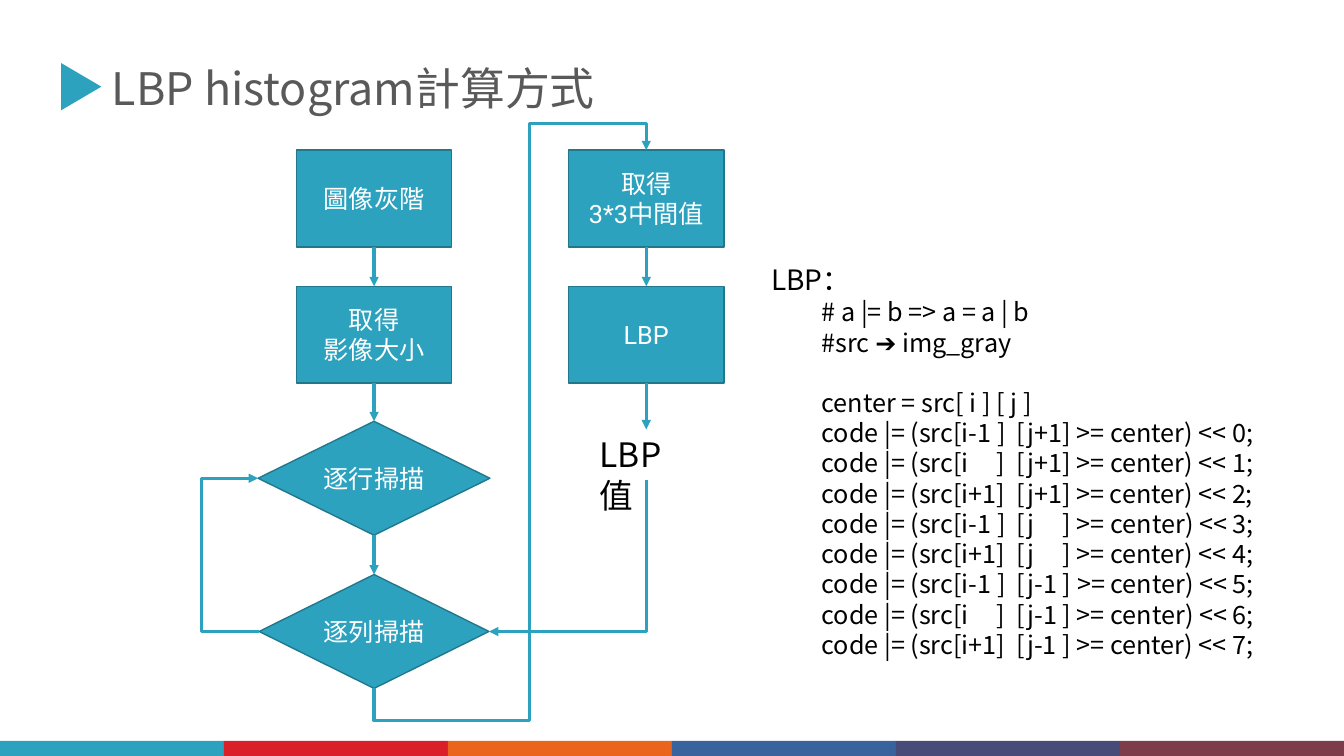
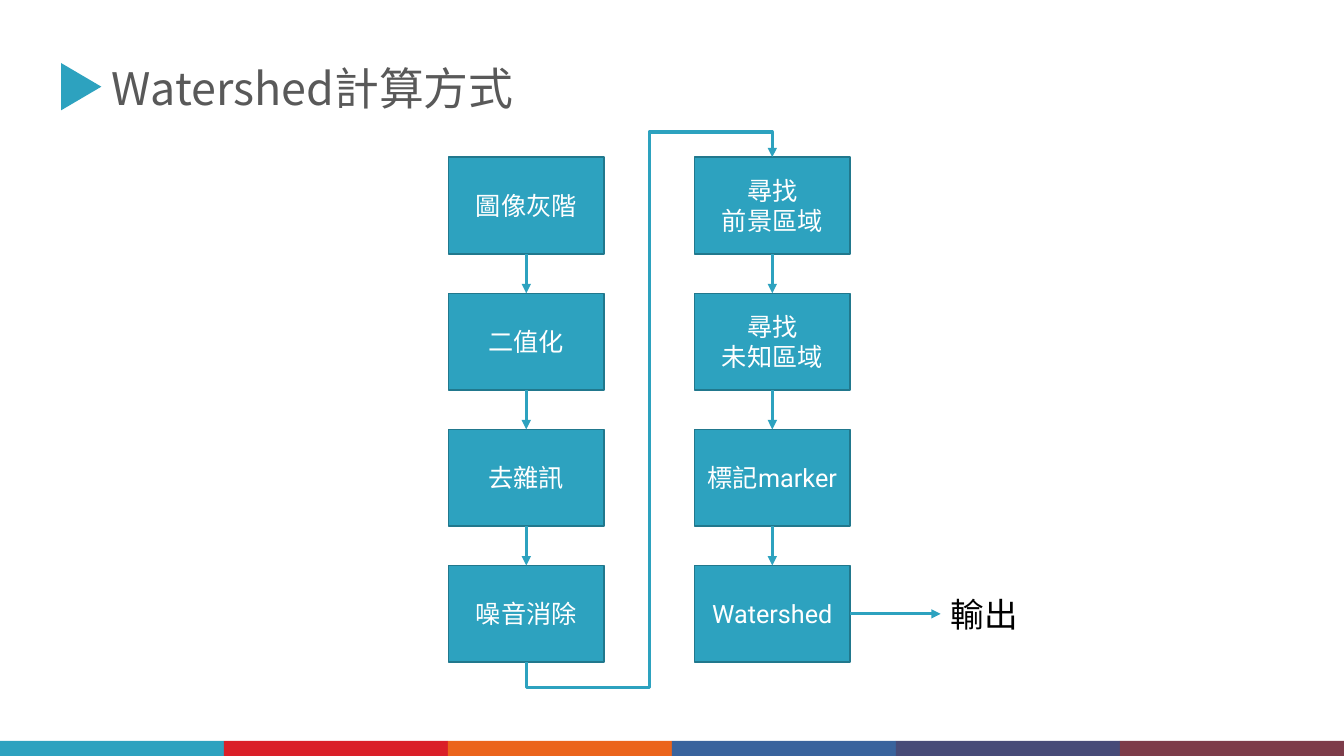
"""Build two flowchart slides on LBP histogram and Watershed computation."""

from dataclasses import dataclass

from lxml import etree
from pptx import Presentation
from pptx.dml.color import RGBColor
from pptx.enum.shapes import MSO_CONNECTOR, MSO_SHAPE
from pptx.enum.text import MSO_ANCHOR, PP_ALIGN
from pptx.oxml.ns import qn
from pptx.util import Inches, Pt

RECTANGLE = MSO_SHAPE.RECTANGLE
DIAMOND = MSO_SHAPE.DIAMOND
TRIANGLE = MSO_SHAPE.ISOSCELES_TRIANGLE
STRAIGHT = MSO_CONNECTOR.STRAIGHT
ELBOW = MSO_CONNECTOR.ELBOW
LEFT_ALIGN, CENTER_ALIGN = PP_ALIGN.LEFT, PP_ALIGN.CENTER
ANCHOR_TOP, ANCHOR_MIDDLE = MSO_ANCHOR.TOP, MSO_ANCHOR.MIDDLE
TOP, LEFT, BOTTOM, RIGHT = range(4)


@dataclass(frozen=True)
class Theme:
    accent: str = "2DA2BF"
    outline: str = "21788D"
    title: str = "595959"
    body: str = "000000"
    light: str = "FFFFFF"
    bands: tuple = ("2DA2BF", "DA1F28", "EB641B", "39639D", "474B78", "7D3C4A")
    text_font: str = "Noto Sans CJK SC"
    node_font: str = "Roboto"
    title_size: int = 32
    label_size: int = 24
    heading_size: int = 20
    node_size: int = 18
    line_height: float = 1.2
    connector_width: float = 2.25


THEME = Theme()


def write_text(shape, lines, size, color=THEME.body, font=THEME.text_font,
               align=LEFT_ALIGN, anchor=ANCHOR_TOP, side_inset=0.1):
    frame = shape.text_frame
    frame.word_wrap = True
    frame.vertical_anchor = anchor
    frame.margin_left = frame.margin_right = Inches(side_inset)
    frame.text = "\n".join(lines)
    for paragraph in frame.paragraphs:
        paragraph.alignment = align
        paragraph.line_spacing = Pt(size * THEME.line_height)
        for run in paragraph.runs:
            run.font.size = Pt(size)
            run.font.color.rgb = RGBColor.from_string(color)
            run.font.name = font
            east_asian = etree.SubElement(run._r.get_or_add_rPr(), qn("a:ea"))
            east_asian.set("typeface", THEME.text_font)
    return frame


def connect(slide, source, source_side, target, target_side,
            preset=None, rotation=0, adjustments=()):
    kind = ELBOW if preset else STRAIGHT
    connector = slide.shapes.add_connector(kind, 0, 0, 0, 0)
    connector.begin_connect(source, source_side)
    connector.end_connect(target, target_side)
    connector.line.color.rgb = RGBColor.from_string(THEME.accent)
    connector.line.width = Pt(THEME.connector_width)
    properties = connector._element.spPr
    arrowhead = etree.SubElement(properties.find(qn("a:ln")), qn("a:tailEnd"))
    arrowhead.set("type", "triangle")
    etree.SubElement(properties, qn("a:effectLst"))
    if not preset:
        return

    start_x, start_y = connector.begin_x, connector.begin_y
    run_x, run_y = connector.end_x - start_x, connector.end_y - start_y
    across, down = (run_y, -run_x) if rotation == 90 else (-run_x, -run_y)
    connector.width, connector.height = abs(across), abs(down)
    connector.left = start_x + (run_x - abs(across)) // 2
    connector.top = start_y + (run_y - abs(down)) // 2
    transform = properties.find(qn("a:xfrm"))
    transform.set("rot", str(rotation * 60000))
    transform.set("flipH", str(int(across < 0)))
    transform.set("flipV", str(int(down < 0)))
    geometry = properties.find(qn("a:prstGeom"))
    geometry.set("prst", preset)
    guides = geometry.find(qn("a:avLst"))
    for number, value in enumerate(adjustments, 1):
        guide = etree.SubElement(guides, qn("a:gd"))
        guide.set("name", f"adj{number}")
        guide.set("fmla", f"val {round(value * 100000)}")


NODE_WIDTH, NODE_HEIGHT, ROW_PITCH = 1.54, 0.96, 1.35
LBP_TOP, WATERSHED_TOP = 1.49, 1.56
LBP_COLUMNS, WATERSHED_COLUMNS = (2.94, 5.64), (4.45, 6.89)

lbp_nodes = {
    name: (RECTANGLE, LBP_COLUMNS[column], LBP_TOP + row * ROW_PITCH,
           NODE_WIDTH, NODE_HEIGHT, lines)
    for name, column, row, lines in (
        ("gray", 0, 0, ["圖像灰階"]),
        ("size", 0, 1, ["取得", "影像大小"]),
        ("center", 1, 0, ["取得", "3*3中間值"]),
        ("lbp", 1, 1, ["LBP"]),
    )
}
lbp_nodes["rows"] = (DIAMOND, 2.56, 4.18, 2.3, 1.13, ["逐行掃描"])
lbp_nodes["columns"] = (DIAMOND, 2.57, 5.7, 2.28, 1.13, ["逐列掃描"])
lbp_nodes["value"] = (None, 5.85, 4.26, 1.12, 0.5, ["LBP值"])
lbp_links = [
    ("gray", BOTTOM, "size", TOP),
    ("size", BOTTOM, "rows", TOP),
    ("rows", BOTTOM, "columns", TOP),
    ("center", BOTTOM, "lbp", TOP),
    ("lbp", BOTTOM, "value", TOP),
    ("columns", BOTTOM, "center", TOP, "bentConnector5", 90, (-0.06, 0.57, 1.05)),
    ("value", BOTTOM, "columns", RIGHT, "bentConnector2", 90),
    ("columns", LEFT, "rows", LEFT, "bentConnector3", 180, (58,)),
]

watershed_steps = (
    (["圖像灰階"], ["二值化"], ["去雜訊"], ["噪音消除"]),
    (["尋找", "前景區域"], ["尋找", "未知區域"], ["標記marker"], ["Watershed"]),
)
watershed_nodes = {
    (column, row): (RECTANGLE, WATERSHED_COLUMNS[column],
                    WATERSHED_TOP + row * ROW_PITCH, NODE_WIDTH, NODE_HEIGHT, lines)
    for column, steps in enumerate(watershed_steps)
    for row, lines in enumerate(steps)
}
watershed_nodes["output"] = (None, 9.33, 5.84, 0.9, 0.5, ["輸出"])
watershed_links = [
    ((column, row), BOTTOM, (column, row + 1), TOP)
    for column in range(2) for row in range(3)
]
watershed_links += [
    ((0, 3), BOTTOM, (1, 0), TOP, "bentConnector5", 90, (-0.05, 0.5, 1.05)),
    ((1, 3), RIGHT, "output", LEFT),
]

presentation = Presentation()
presentation.slide_width = Inches(13.33)
presentation.slide_height = Inches(7.5)
band_width = presentation.slide_width / len(THEME.bands)
slides = []

for title, nodes, links in (
    ("LBP histogram計算方式", lbp_nodes, lbp_links),
    ("Watershed計算方式", watershed_nodes, watershed_links),
):
    slide = presentation.slides.add_slide(presentation.slide_layouts[5])
    slides.append(slide)
    heading = slide.shapes.title
    heading.left, heading.top = Inches(1.01), Inches(0.55)
    heading.width, heading.height = Inches(5.18), Inches(0.64)
    write_text(heading, [title], THEME.title_size, color=THEME.title)

    marker = slide.shapes.add_shape(
        TRIANGLE, Inches(0.57), Inches(0.66), Inches(0.47), Inches(0.4))
    marker.rotation = 90
    decorations = [(marker, THEME.accent)]
    for index, color in enumerate(THEME.bands):
        band = slide.shapes.add_shape(
            RECTANGLE, round(index * band_width), Inches(7.35),
            round(band_width), Inches(0.15))
        decorations.append((band, color))
    for shape, color in decorations:
        shape.shadow.inherit = False
        shape.fill.solid()
        shape.fill.fore_color.rgb = RGBColor.from_string(color)
        shape.line.fill.background()

    shapes = {}
    for name, (preset, left, top, width, height, lines) in nodes.items():
        bounds = [Inches(length) for length in (left, top, width, height)]
        if preset is None:
            shapes[name] = slide.shapes.add_textbox(*bounds)
            write_text(shapes[name], lines, THEME.label_size)
            continue
        shape = shapes[name] = slide.shapes.add_shape(preset, *bounds)
        shape.shadow.inherit = False
        shape.fill.solid()
        shape.fill.fore_color.rgb = RGBColor.from_string(THEME.accent)
        shape.line.color.rgb = RGBColor.from_string(THEME.outline)
        shape.line.width = Pt(1)
        write_text(shape, lines, THEME.node_size, color=THEME.light,
                   font=THEME.node_font, align=CENTER_ALIGN,
                   anchor=ANCHOR_MIDDLE, side_inset=0.04)

    for source, source_side, target, target_side, *route in links:
        connect(slide, shapes[source], source_side,
                shapes[target], target_side, *route)

code_lines = [
    "LBP：",
    "# a |= b => a = a | b",
    "#src ➔ img_gray",
    "center = src[ i ] [ j ]",
    "code |= (src[i-1 ]  [j+1] >= center) << 0;",
    "code |= (src[i     ]  [j+1] >= center) << 1;",
    "code |= (src[i+1]  [j+1] >= center) << 2;",
    "code |= (src[i-1 ]  [j     ] >= center) << 3;",
    "code |= (src[i+1]  [j     ] >= center) << 4;",
    "code |= (src[i-1 ]  [j-1 ] >= center) << 5;",
    "code |= (src[i     ]  [j-1 ] >= center) << 6;",
    "code |= (src[i+1]  [j-1 ] >= center) << 7;",
]
code_box = slides[0].shapes.add_textbox(
    Inches(7.55), Inches(2.56), Inches(5.78), Inches(4.07))
code_frame = write_text(code_box, code_lines, THEME.node_size)
code_heading, *code_body = code_frame.paragraphs
code_heading.runs[0].font.size = Pt(THEME.heading_size)
code_heading.line_spacing = Pt(THEME.heading_size * THEME.line_height)
for paragraph in code_body:
    paragraph.level = 1
    paragraph._p.get_or_add_pPr().set("marL", str(Inches(0.5)))
code_body[2].space_before = Pt(THEME.node_size * THEME.line_height)

presentation.save("out.pptx")
